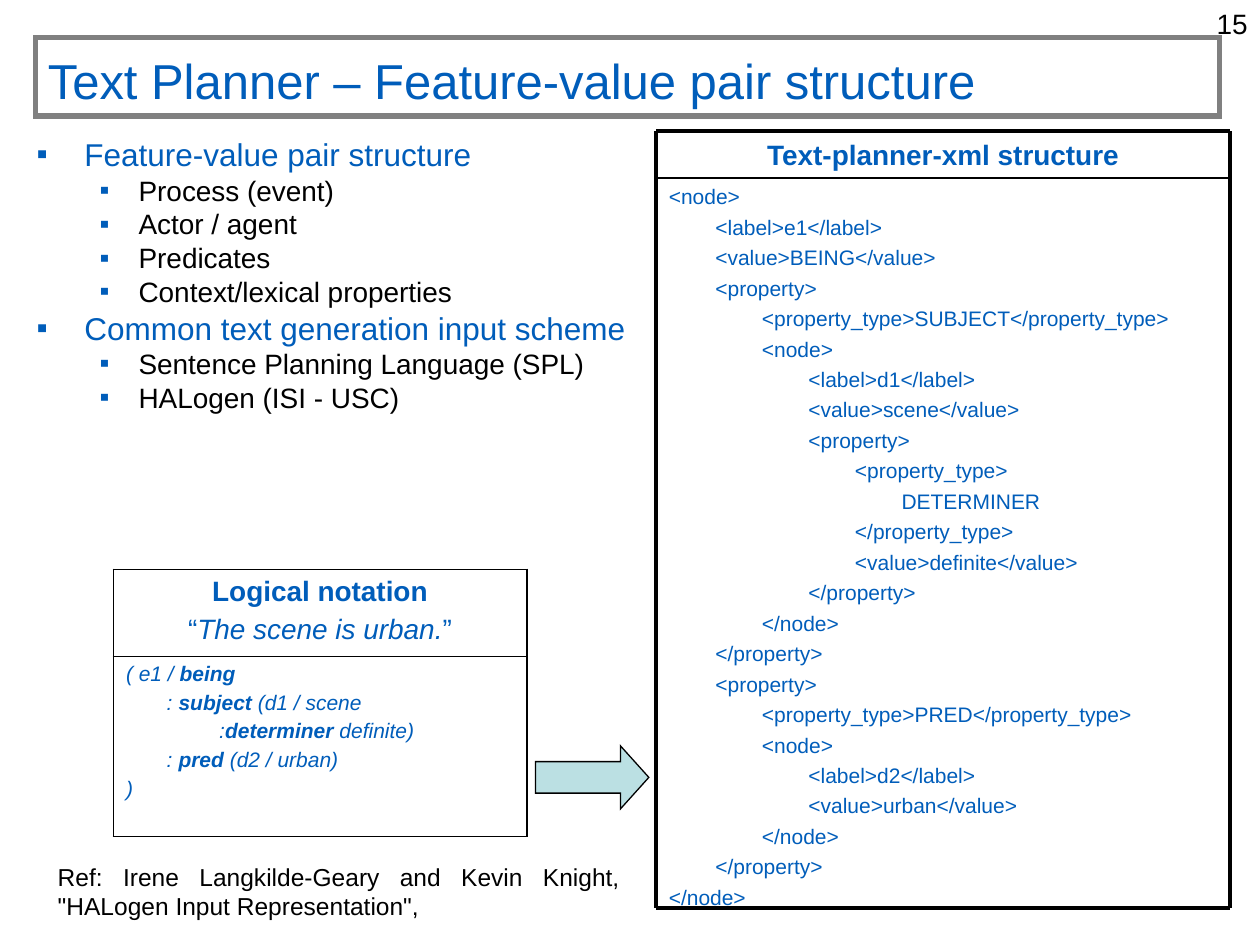
from lxml.etree import SubElement
from pptx import Presentation
from pptx.dml.color import RGBColor
from pptx.enum.shapes import MSO_CONNECTOR, MSO_SHAPE
from pptx.enum.text import MSO_ANCHOR, MSO_AUTO_SIZE, PP_ALIGN
from pptx.oxml.ns import qn
from pptx.util import Inches, Pt

BLUE, BLACK, GREY, TEAL = "005DBA", "000000", "808080", "BBE0E3"
UNIT = 0.1


def rgb(value):
    return RGBColor.from_string(value)


def grid(*cells):
    return [Inches(round(c * UNIT, 3)) for c in cells]


class Deck:
    """Holds the style and the current slide, and draws each kind of element."""

    def __init__(self, cols, rows):
        self.prs = Presentation()
        self.prs.slide_width, self.prs.slide_height = grid(cols, rows)
        self.s = self.prs.slides.add_slide(self.prs.slide_layouts[1])
        self.font = "Arial"

    def place(self, sp, box):
        for name, value in zip(("left", "top", "width", "height"), grid(*box)):
            setattr(sp, name, value)

    def frame(self, tf, anchor=MSO_ANCHOR.TOP):
        fmt = {"word_wrap": True, "auto_size": MSO_AUTO_SIZE.NONE, "vertical_anchor": anchor}
        for name, value in fmt.items():
            setattr(tf, name, value)
        return tf

    def outline(self, sp, color, width):
        sp.line.color.rgb = rgb(color)
        sp.line.width = Pt(width)
        SubElement(sp._element.spPr.find(qn("a:ln")), qn("a:miter"), lim="800000")

    def paragraph(self, tf, text, size, color=BLUE, align=PP_ALIGN.LEFT, before=0, toggle="bold", **fmt):
        first = not tf.paragraphs[0].runs
        p = tf.paragraphs[0] if first else tf.add_paragraph()
        p.alignment = align
        p.space_before = Pt(0 if first else before)
        for i, part in enumerate(text.split("*")):
            if part:
                r = p.add_run()
                r.text = part
                style = {"name": self.font, "size": Pt(size), **fmt}
                if i % 2:
                    style[toggle] = True
                for name, value in style.items():
                    setattr(r.font, name, value)
                r.font.color.rgb = rgb(color)
        return p

    def title(self, text, box):
        sp = self.s.shapes.title
        self.place(sp, box)
        self.outline(sp, GREY, 3)
        self.paragraph(self.frame(sp.text_frame, MSO_ANCHOR.BOTTOM), text, 28)

    def bullets(self, items, box):
        sp = self.s.placeholders[1]
        self.place(sp, box)
        tf = self.frame(sp.text_frame)
        levels = [(18, BLUE, 4.5, 0.38, -0.38), (16, BLACK, 4, 0.81, -0.31)]
        for level, text in items:
            size, color, before, margin, indent = levels[level]
            p = self.paragraph(tf, text, size, color, before=before)
            p.level, p.line_spacing = level, 0.8
            pPr = p._p.get_or_add_pPr()
            pPr.set("marL", str(Inches(margin)))
            pPr.set("indent", str(Inches(indent)))
            SubElement(SubElement(pPr, qn("a:buClr")), qn("a:srgbClr"), val=BLUE)
            SubElement(pPr, qn("a:buFont"), typeface=self.font)
            SubElement(pPr, qn("a:buChar"), char="▪")

    def text(self, lines, box, size, anchor=MSO_ANCHOR.TOP, **fmt):
        tf = self.frame(self.s.shapes.add_textbox(*grid(*box)).text_frame, anchor)
        for line in lines:
            self.paragraph(tf, line, size, **fmt)

    def table(self, cells, heights, box):
        table = self.s.shapes.add_table(len(cells), 1, *grid(*box)).table
        table.first_row = table.horz_banding = False
        last = len(cells) - 1
        for i, (lines, height) in enumerate(zip(cells, grid(*heights))):
            table.rows[i].height = height
            cell = table.cell(i, 0)
            for line, fmt in lines:
                self.paragraph(cell.text_frame, line, **fmt)
            widths = {"L": 1.08, "R": 1.08, "T": 0.45 if i else 1.08, "B": 1.08 if i == last else 0.45}
            tcPr = cell._tc.get_or_add_tcPr()
            for side, width in widths.items():
                ln = SubElement(tcPr, qn(f"a:ln{side}"), w=str(Pt(width)))
                SubElement(SubElement(ln, qn("a:solidFill")), qn("a:srgbClr"), val=BLACK)
            cell.fill.background()

    def line(self, x1, y1, x2, y2, width):
        c = self.s.shapes.add_connector(MSO_CONNECTOR.STRAIGHT, *grid(x1, y1, x2, y2))
        self.outline(c, BLACK, width)
        SubElement(c._element.spPr, qn("a:effectLst"))

    def arrow(self, box):
        sp = self.s.shapes.add_shape(MSO_SHAPE.RIGHT_ARROW, *grid(*box))
        sp.shadow.inherit = False
        sp.adjustments[0], sp.adjustments[1] = 0.5, 0.45
        sp.fill.solid()
        sp.fill.fore_color.rgb = rgb(TEAL)
        self.outline(sp, BLACK, 0.75)


def main():
    deck = Deck(100, 75)
    deck.text(["15"], (93.5, 0, 6.5, 3.7), 16, color=BLACK, align=PP_ALIGN.RIGHT)
    deck.title("Text Planner – Feature-value pair structure", (2.8, 3, 94, 6.2))
    deck.bullets([
        (0, "Feature-value pair structure"),
        (1, "Process (event)"),
        (1, "Actor / agent"),
        (1, "Predicates"),
        (1, "Context/lexical properties"),
        (0, "Common text generation input scheme"),
        (1, "Sentence Planning Language (SPL)"),
        (1, "HALogen (ISI - USC)"),
    ], (1.9, 10.8, 51.1, 24))

    head = {"size": 16, "align": PP_ALIGN.CENTER, "before": 4, "toggle": "italic"}
    code = {"size": 12, "before": 2.9, "italic": True}
    notation = [
        "( e1 / *being*",
        "       : *subject* (d1 / scene",
        "                :*determiner* definite)",
        "       : *pred* (d2 / urban)",
        ")",
    ]
    deck.table([
        [("Logical notation", {**head, "bold": True}), ("“*The scene is urban.*”", head)],
        [(line, code) for line in notation],
    ], (6.9, 14.3), (9, 45.2, 32.8, 21.2))

    left, top, right, bottom, split = 52.1, 10.4, 97.6, 72.1, 14.1
    width = right - left
    deck.text(["Text-planner-xml structure"], (left, top, width, split - top), 16,
              MSO_ANCHOR.MIDDLE, align=PP_ALIGN.CENTER, bold=True)
    xml = [
        (0, "<node>"),
        (1, "<label>e1</label>"),
        (1, "<value>BEING</value>"),
        (1, "<property>"),
        (2, "<property_type>SUBJECT</property_type>"),
        (2, "<node>"),
        (3, "<label>d1</label>"),
        (3, "<value>scene</value>"),
        (3, "<property>"),
        (4, "<property_type>"),
        (5, "DETERMINER"),
        (4, "</property_type>"),
        (4, "<value>definite</value>"),
        (3, "</property>"),
        (2, "</node>"),
        (1, "</property>"),
        (1, "<property>"),
        (2, "<property_type>PRED</property_type>"),
        (2, "<node>"),
        (3, "<label>d2</label>"),
        (3, "<value>urban</value>"),
        (2, "</node>"),
        (1, "</property>"),
        (0, "</node>"),
    ]
    deck.text([" " * 8 * depth + tag for depth, tag in xml],
              (left, split, width, bottom - split), 12, before=3)
    for y, weight in ((top, 2.25), (bottom, 2.25), (split, 1)):
        deck.line(left, y, right, y, weight)
    for x in (left, right):
        deck.line(x, top, x, bottom, 2.25)

    deck.arrow((42.5, 59.2, 9, 5))
    deck.text(['Ref: Irene Langkilde-Geary and Kevin Knight, "HALogen Input Representation",'],
              (3.6, 67.9, 46.6, 5.7), 14, MSO_ANCHOR.MIDDLE, color=BLACK, align=PP_ALIGN.JUSTIFY)
    deck.prs.save("out.pptx")


if __name__ == "__main__":
    main()
